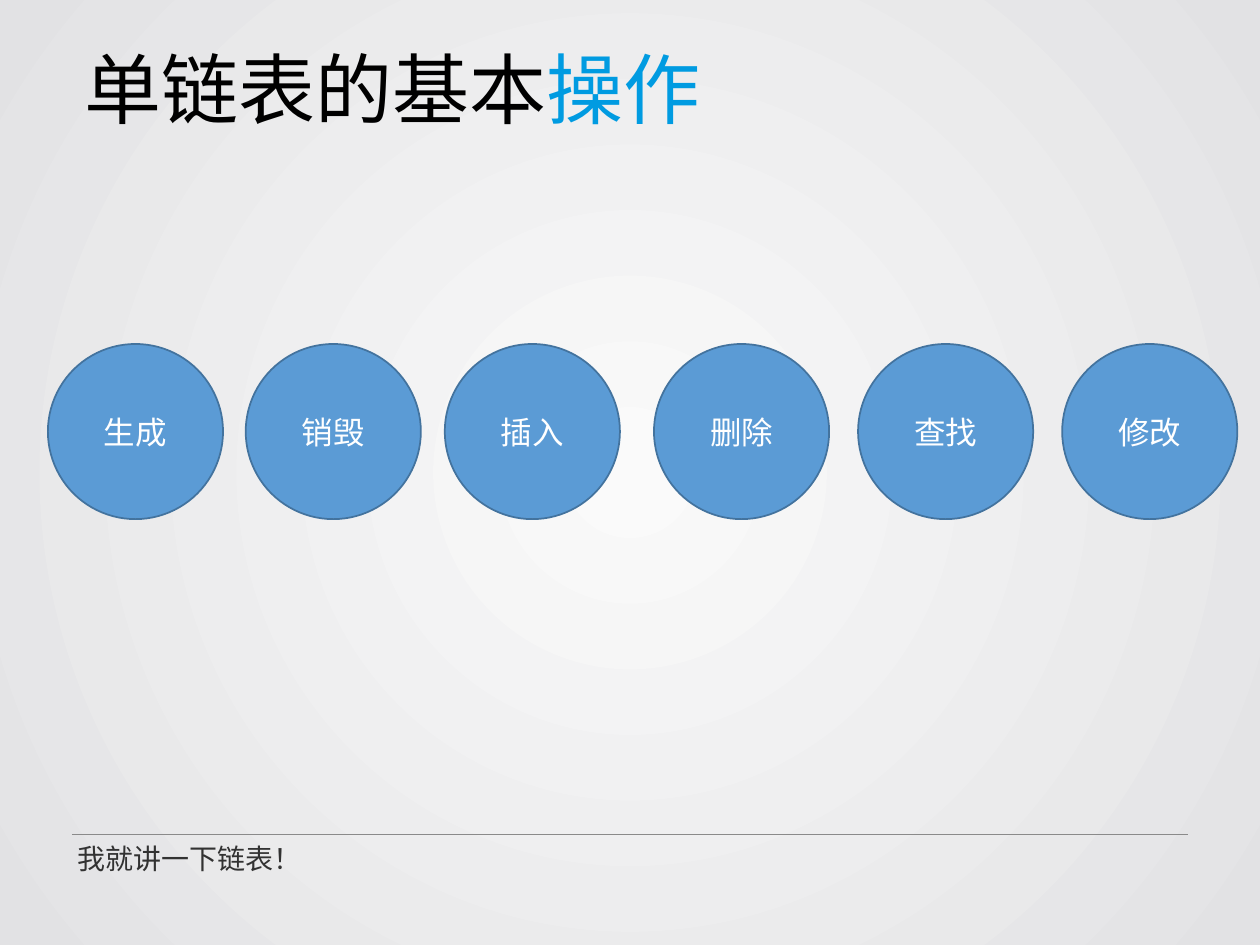
from dataclasses import dataclass

from lxml import etree
from pptx import Presentation
from pptx.dml.color import RGBColor
from pptx.enum.lang import MSO_LANGUAGE_ID
from pptx.enum.shapes import MSO_CONNECTOR, MSO_SHAPE
from pptx.enum.text import MSO_ANCHOR, MSO_AUTO_SIZE, PP_ALIGN
from pptx.oxml import parse_xml
from pptx.oxml.ns import nsdecls, qn
from pptx.util import Inches, Pt

CHINESE = MSO_LANGUAGE_ID.SIMPLIFIED_CHINESE
STRAIGHT = MSO_CONNECTOR.STRAIGHT
OVAL = MSO_SHAPE.OVAL
MIDDLE = MSO_ANCHOR.MIDDLE
GROW = MSO_AUTO_SIZE.SHAPE_TO_FIT_TEXT
CENTER = PP_ALIGN.CENTER


@dataclass(frozen=True)
class Theme:
    """Colours, fonts and type sizes of the slide."""
    glow: str = "FAFAFA"
    edge: str = "E2E2E4"
    rule: str = "8A8A8A"
    title: str = "000000"
    accent: str = "009BE1"
    circle: str = "5B9BD5"
    outline: str = "43739E"
    label: str = "FFFFFF"
    footer: str = "323232"
    latin: str = "Calibri"
    chinese: str = "Noto Sans CJK SC"
    title_size: int = 44
    label_size: int = 18
    footer_size: int = 16


def style(font, name, size, color):
    """Set typeface, size, colour and language of a font."""
    font.name = name
    font.size = Pt(size)
    font.color.rgb = RGBColor.from_string(color)
    font.language_id = CHINESE


def add_text_box(page, left, top, width, height):
    """Add an unwrapped, growing text box and return its paragraph."""
    box = page.shapes.add_textbox(*map(Inches, (left, top, width, height)))
    box.text_frame.word_wrap = False
    box.text_frame.auto_size = GROW
    return box.text_frame.paragraphs[0]


theme = Theme()
deck = Presentation()
deck.slide_width, deck.slide_height = Inches(10), Inches(7.5)
page = deck.slides.add_slide(deck.slide_layouts[6])

# Radial background, lightest in the centre
backdrop = page.background.fill
backdrop.gradient()
for stop, color in zip(backdrop.gradient_stops, (theme.glow, theme.edge)):
    stop.color.rgb = RGBColor.from_string(color)
linear = next(page.element.iter(qn("a:lin")))
linear.getparent().replace(linear, parse_xml(
    f'<a:path {nsdecls("a")} path="circle">'
    '<a:fillToRect l="50000" t="50000" r="50000" b="50000"/></a:path>'))

# Footer rule, with equal side margins
margin, rule_top = Inches(0.57), Inches(6.62)
rule = page.shapes.add_connector(
    STRAIGHT, margin, rule_top, deck.slide_width - margin, rule_top)
rule.line.color.rgb = RGBColor.from_string(theme.rule)
rule.line.width = Pt(0.5)
etree.SubElement(rule.element.spPr, qn("a:effectLst"))

# Two-colour title
title = add_text_box(page, 0.57, 0.28, 5.14, 0.84)
for words, name, color in (
    ("单链表的基本", theme.latin, theme.title),
    ("操作", theme.chinese, theme.accent),
):
    span = title.add_run()
    span.text = words
    style(span.font, name, theme.title_size, color)

# Row of operations
diameter, row_top = Inches(1.39), Inches(2.73)
operations = {"生成": 0.38, "销毁": 1.95, "插入": 3.53,
              "删除": 5.19, "查找": 6.81, "修改": 8.43}
for operation, left in operations.items():
    circle = page.shapes.add_shape(
        OVAL, Inches(left), row_top, diameter, diameter)
    circle.shadow.inherit = False
    circle.fill.solid()
    circle.fill.fore_color.rgb = RGBColor.from_string(theme.circle)
    circle.line.color.rgb = RGBColor.from_string(theme.outline)
    circle.line.width = Pt(1)
    circle.text_frame.vertical_anchor = MIDDLE
    para = circle.text_frame.paragraphs[0]
    para.text = operation
    para.alignment = CENTER
    style(para.font, theme.latin, theme.label_size, theme.label)

# Footer remark
footer = add_text_box(page, 0.52, 6.63, 2, 0.37)
footer.text = "我就讲一下链表！"
style(footer.font, theme.chinese, theme.footer_size, theme.footer)

deck.save("out.pptx")
